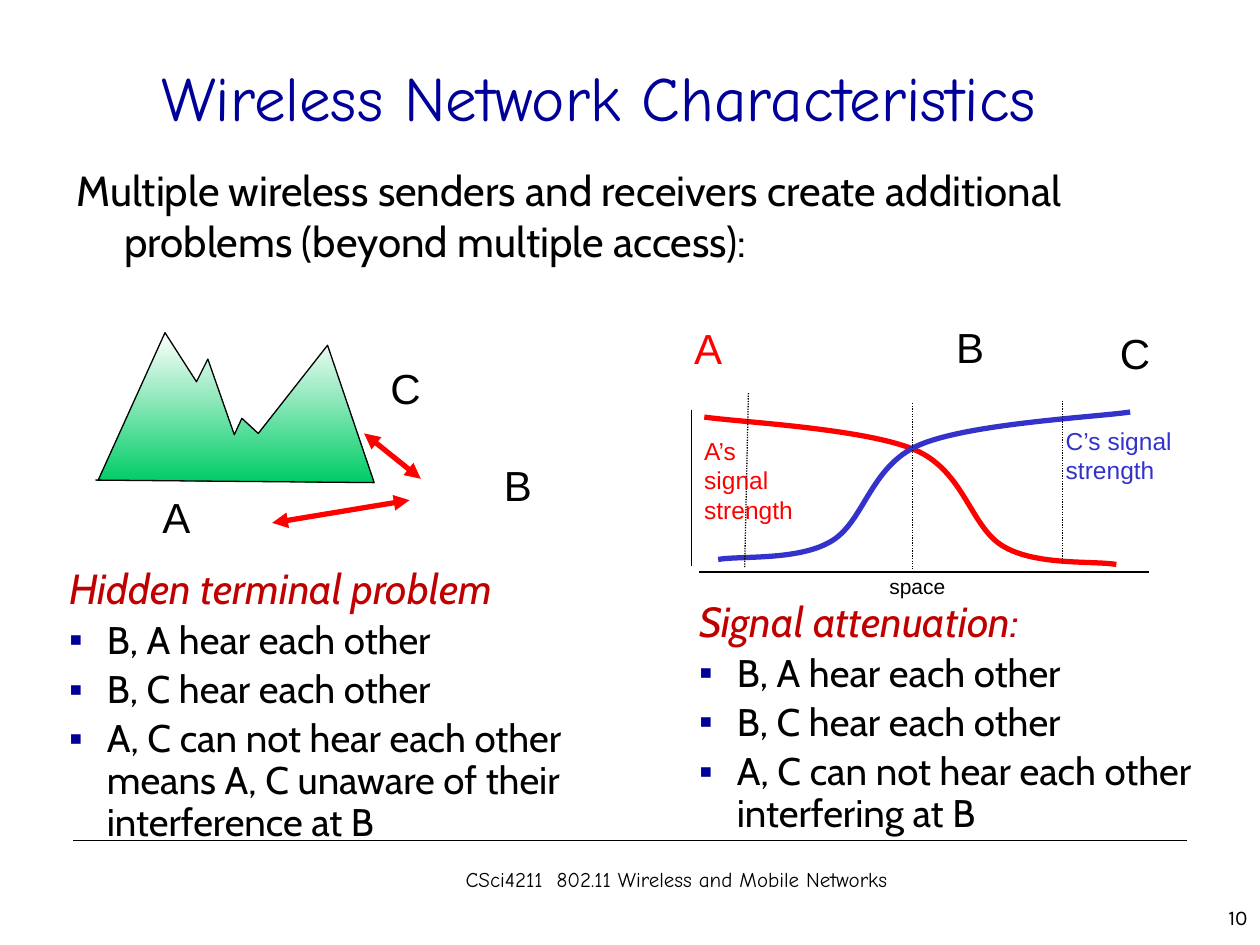
from dataclasses import dataclass

from lxml import etree
from pptx import Presentation
from pptx.dml.color import RGBColor
from pptx.enum.dml import MSO_LINE
from pptx.enum.shapes import MSO_CONNECTOR
from pptx.enum.text import MSO_ANCHOR, PP_ALIGN
from pptx.oxml.ns import qn
from pptx.util import Inches, Pt

STRAIGHT = MSO_CONNECTOR.STRAIGHT
DOTTED = MSO_LINE.ROUND_DOT
LEFT, CENTER, RIGHT = PP_ALIGN.LEFT, PP_ALIGN.CENTER, PP_ALIGN.RIGHT
TOP, MIDDLE = MSO_ANCHOR.TOP, MSO_ANCHOR.MIDDLE

BLACK = RGBColor(0x00, 0x00, 0x00)
WHITE = RGBColor(0xFF, 0xFF, 0xFF)
NAVY = RGBColor(0x00, 0x00, 0x99)
RED = RGBColor(0xFF, 0x00, 0x00)
DARK_RED = RGBColor(0xC0, 0x00, 0x00)
BLUE = RGBColor(0x33, 0x33, 0xCC)
GREEN = RGBColor(0x00, 0xCC, 0x66)

Point = tuple[float, float]
Box = tuple[float, float, float, float]


@dataclass
class Label:
    lines: list[str]
    at: Box
    size: float = 24
    color: RGBColor = BLACK
    font: str = "Arial"
    align: PP_ALIGN = LEFT
    anchor: MSO_ANCHOR = TOP
    wrap: bool = False
    right_inset: float = 0.1
    hanging: float = 0


@dataclass
class Line:
    start: Point
    end: Point
    color: RGBColor = BLACK
    width: float = 0.75
    dotted: bool = False
    arrows: bool = False


@dataclass
class Problem:
    heading: str
    points: list[str]
    at: Box


TEXTS = [
    Label(["Wireless Network Characteristics"], (0.5, 0.14, 8.5, 1.25), 36, NAVY,
          "Comic Neue", CENTER, MIDDLE, wrap=True),
    Label(["Multiple wireless senders and receivers create additional "
           "problems (beyond multiple access):"], (0.51, 1.26, 8.5, 1.22),
          font="Cabin", wrap=True, hanging=0.38),
    Label(["A"], (1.19, 3.85, 0.38, 0.4)),
    Label(["B"], (3.9, 3.6, 0.37, 0.4)),
    Label(["C"], (3, 2.83, 0.38, 0.4)),
    Label(["A"], (5.41, 2.51, 0.38, 0.4), color=RED),
    Label(["B"], (7.49, 2.5, 0.36, 0.4)),
    Label(["C"], (8.79, 2.55, 0.38, 0.4)),
    Label(["A’s signal", "strength"], (5.49, 3.41, 1.02, 0.57), 14, RED,
          wrap=True, right_inset=0.2),
    Label(["space"], (6.96, 4.5, 0.65, 0.3), 12),
    Label(["C’s signal", "strength"], (8.36, 3.33, 1.05, 0.57), 14, BLUE),
    Label(["10"], (9.25, 7.13, 0.75, 0.3), 12, font="Karla", align=RIGHT, wrap=True),
    Label(["CSci4211  802.11 Wireless and Mobile Networks"], (3.33, 6.83, 4.08, 0.5),
          12, font="Comic Neue", align=CENTER, wrap=True),
]

LINES = [
    Line((0.58, 6.67), (9.42, 6.67)),
    Line((2.16, 4.15), (3.25, 3.97), RED, 3, arrows=True),
    Line((2.89, 3.44), (3.34, 3.8), RED, 3, arrows=True),
    Line((5.55, 4.54), (9.12, 4.54)),
    Line((5.49, 3.25), (5.49, 4.49)),
    Line((5.94, 3.12), (5.91, 4.51), dotted=True),
    Line((7.24, 3.2), (7.24, 4.52), dotted=True),
    Line((8.43, 3.18), (8.43, 4.47), dotted=True),
]

HEARD = ["B, A hear each other", "B, C hear each other"]
PROBLEMS = [
    Problem("Hidden terminal problem",
            HEARD + ["A, C can not hear each other means A, C unaware of their "
                     "interference at B"], (0.45, 4.46, 4.54, 2.45)),
    Problem("Signal attenuation:",
            HEARD + ["A, C can not hear each other interfering at B"],
            (5.45, 4.72, 4.54, 2.27)),
]

MOUNTAIN = [(0.78, 3.81), (1.31, 2.64), (1.56, 3.03), (1.65, 2.85), (1.86, 3.45),
            (1.92, 3.32), (2.05, 3.44), (2.6, 2.74), (2.97, 3.83), (0.76, 3.81)]
SIGNAL_A = [(5.59, 3.31), (5.86, 3.35), (6.86, 3.4), (7.26, 3.57), (7.66, 3.74),
            (7.7, 4.19), (7.97, 4.34), (8.23, 4.49), (8.68, 4.45), (8.86, 4.48)]
# C's signal mirrors A's, slightly higher.
SIGNAL_C = [(14.56 - x, y - 0.04) for x, y in SIGNAL_A]


def add_box(page, at: Box, wrap: bool):
    box = page.shapes.add_textbox(*map(Inches, at))
    box.text_frame.word_wrap = wrap
    return box.text_frame


def set_indent(para, indent: float):
    properties = para._p.get_or_add_pPr()
    properties.set("marL", str(Inches(indent)))
    properties.set("indent", str(-Inches(indent)))
    return properties


def style(para, font: str, size: float, color: RGBColor):
    para.font.name = font
    para.font.size = Pt(size)
    para.font.color.rgb = color


def add_label(page, label: Label):
    frame = add_box(page, label.at, label.wrap)
    frame.vertical_anchor = label.anchor
    frame.margin_right = Inches(label.right_inset)
    frame.text = "\n".join(label.lines)
    for para in frame.paragraphs:
        para.alignment = label.align
        if label.hanging:
            set_indent(para, label.hanging)
        style(para, label.font, label.size, label.color)


def add_problem(page, problem: Problem):
    frame = add_box(page, problem.at, True)
    frame.text = "\n".join([problem.heading, *problem.points])
    heading, *points = frame.paragraphs
    set_indent(heading, 0.38)
    heading.line_spacing = 0.9
    style(heading, "Cabin", 24, DARK_RED)
    heading.font.italic = True
    for para in points:
        properties = set_indent(para, 0.3)
        bullet_color = etree.SubElement(properties, qn("a:buClr"))
        etree.SubElement(bullet_color, qn("a:srgbClr"), val=str(NAVY))
        etree.SubElement(properties, qn("a:buFont"), typeface="Arial")
        etree.SubElement(properties, qn("a:buChar"), char="▪")
        para.line_spacing = 0.9
        para.space_before = Pt(4.4)
        style(para, "Cabin", 22, BLACK)


def add_line(page, line: Line):
    ends = [Inches(value) for value in (*line.start, *line.end)]
    connector = page.shapes.add_connector(STRAIGHT, *ends)
    connector.line.color.rgb = line.color
    connector.line.width = Pt(line.width)
    if line.dotted:
        connector.line.dash_style = DOTTED
    properties = connector._element.spPr
    if line.arrows:
        for end in ("a:headEnd", "a:tailEnd"):
            etree.SubElement(properties.find(qn("a:ln")), qn(end), type="triangle")
    etree.SubElement(properties, qn("a:effectLst"))


def add_outline(page, points: list[Point], color: RGBColor, width: float, close: bool):
    start, *rest = [(Inches(x), Inches(y)) for x, y in points]
    builder = page.shapes.build_freeform(*start)
    builder.add_line_segments(rest, close=close)
    shape = builder.convert_to_shape()
    shape.shadow.inherit = False
    shape.line.color.rgb = color
    shape.line.width = Pt(width)
    return shape


def add_mountain(page):
    fill = add_outline(page, MOUNTAIN, BLACK, 0.75, True).fill
    fill.gradient()
    fill.gradient_angle = 270
    for stop, position, color in zip(fill.gradient_stops, (0, 1), (WHITE, GREEN)):
        stop.position = position
        stop.color.rgb = color


def add_curve(page, points: list[Point], color: RGBColor):
    """Draw a start point followed by triples of cubic Bezier points."""
    shape = add_outline(page, points, color, 3, False)
    shape.fill.background()
    outline = next(shape._element.iter(qn("a:path")))
    segments = outline.findall(qn("a:lnTo"))
    for first in range(0, len(segments), 3):
        bezier = etree.SubElement(outline, qn("a:cubicBezTo"))
        for segment in segments[first:first + 3]:
            bezier.append(segment[0])
            outline.remove(segment)


def main():
    deck = Presentation()
    deck.slide_width, deck.slide_height = Inches(10), Inches(7.5)
    page = deck.slides.add_slide(deck.slide_layouts[6])
    add_mountain(page)
    add_curve(page, SIGNAL_A, RED)
    add_curve(page, SIGNAL_C, BLUE)
    for line in LINES:
        add_line(page, line)
    for label in TEXTS:
        add_label(page, label)
    for problem in PROBLEMS:
        add_problem(page, problem)
    deck.save("out.pptx")


if __name__ == "__main__":
    main()
